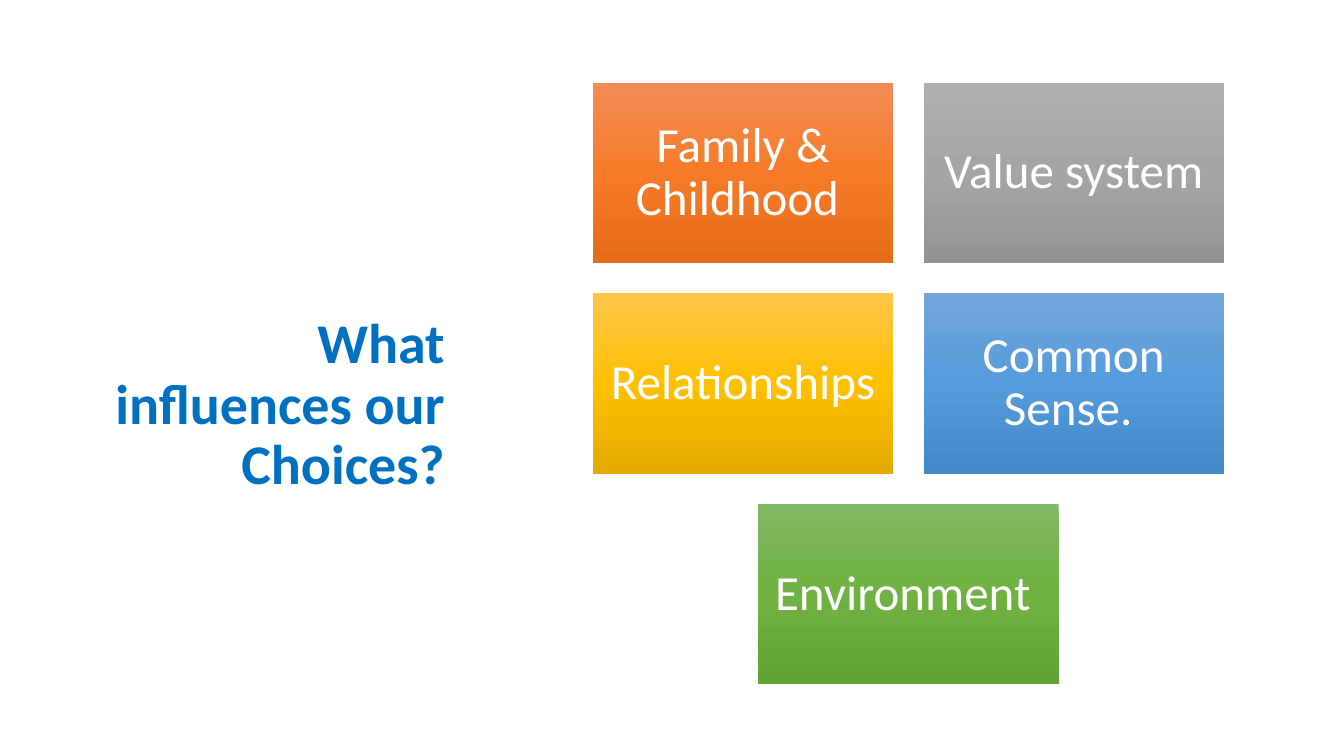
from copy import deepcopy

from pptx import Presentation
from pptx.dml.color import RGBColor
from pptx.enum.shapes import MSO_SHAPE
from pptx.enum.text import MSO_ANCHOR, PP_ALIGN
from pptx.oxml.ns import qn
from pptx.util import Inches, Pt

COLORS = {
    "title": "0070C0",
    "label": "FFFFFF",
    "orange": ("F18C57", "F67B28", "E56C19"),
    "gray": ("AFAFAF", "A5A5A5", "939393"),
    "gold": ("FFC64B", "FFC000", "E3AB00"),
    "blue": ("71A6DB", "559BDB", "448ACA"),
    "green": ("81B861", "6FB242", "62A336"),
}
INFLUENCES = [
    ("Family & Childhood ", "orange"),
    ("Value system ", "gray"),
    ("Relationships", "gold"),
    ("Common Sense. ", "blue"),
    ("Environment ", "green"),
]
COLUMNS = 2
TILE_WIDTH, TILE_HEIGHT, GAP = 2.98, 1.79, 0.3


def write_text(frame, text, size, color, align, anchor, bold=False, inset=None):
    """Fill a text frame with one formatted paragraph."""
    frame.word_wrap = True
    frame.vertical_anchor = anchor
    if inset is not None:
        frame.margin_left = frame.margin_right = Inches(inset)
        frame.margin_top = frame.margin_bottom = Inches(inset)
    para = frame.paragraphs[0]
    para.alignment = align
    para.line_spacing = 0.9
    span = para.add_run()
    span.text = text
    span.font.name = "Calibri"
    span.font.size = Pt(size)
    span.font.bold = bold
    span.font.color.rgb = RGBColor.from_string(color)


def fill_gradient(shape, colors):
    """Fill a shape from top to bottom with evenly spaced colours."""
    shape.fill.gradient()
    shape.fill.gradient_angle = 270
    stop_list = next(shape._element.spPr.iter(qn("a:gsLst")))
    while len(stop_list) < len(colors):
        stop_list.append(deepcopy(stop_list[0]))
    for index, (stop, color) in enumerate(zip(shape.fill.gradient_stops, colors)):
        stop.position = index / (len(colors) - 1)
        stop.color.rgb = RGBColor.from_string(color)


def place_title(page, left, top, width, height):
    """Set the slide's question in the title placeholder."""
    title = page.shapes.title
    title.left, title.top = Inches(left), Inches(top)
    title.width, title.height = Inches(width), Inches(height)
    write_text(title.text_frame, "What influences our Choices?", 40,
               COLORS["title"], PP_ALIGN.RIGHT, MSO_ANCHOR.BOTTOM, bold=True)


def add_tile(page, left, top, text, colors):
    """Draw one labelled gradient tile."""
    tile = page.shapes.add_shape(MSO_SHAPE.RECTANGLE, Inches(left), Inches(top),
                                 Inches(TILE_WIDTH), Inches(TILE_HEIGHT))
    tile.shadow.inherit = False
    tile.line.fill.background()
    fill_gradient(tile, colors)
    write_text(tile.text_frame, text, 35, COLORS["label"],
               PP_ALIGN.CENTER, MSO_ANCHOR.MIDDLE, inset=0.15)


def place_tiles(page, left, top, width):
    """Lay the influences out in rows, each centred in the given width."""
    for start in range(0, len(INFLUENCES), COLUMNS):
        row = INFLUENCES[start:start + COLUMNS]
        row_width = len(row) * (TILE_WIDTH + GAP) - GAP
        row_left = left + (width - row_width) / 2
        row_top = top + start // COLUMNS * (TILE_HEIGHT + GAP)
        for column, (text, color) in enumerate(row):
            add_tile(page, row_left + column * (TILE_WIDTH + GAP), row_top,
                     text, COLORS[color])


def main():
    """Build and save the slide."""
    deck = Presentation()
    deck.slide_width, deck.slide_height = Inches(13.33), Inches(7.5)
    page = deck.slides.add_slide(deck.slide_layouts[5])
    place_title(page, 0.64, 1.84, 3.87, 3.14)
    place_tiles(page, 5.88, 0.82, 6.26)
    deck.save("out.pptx")


if __name__ == "__main__":
    main()
